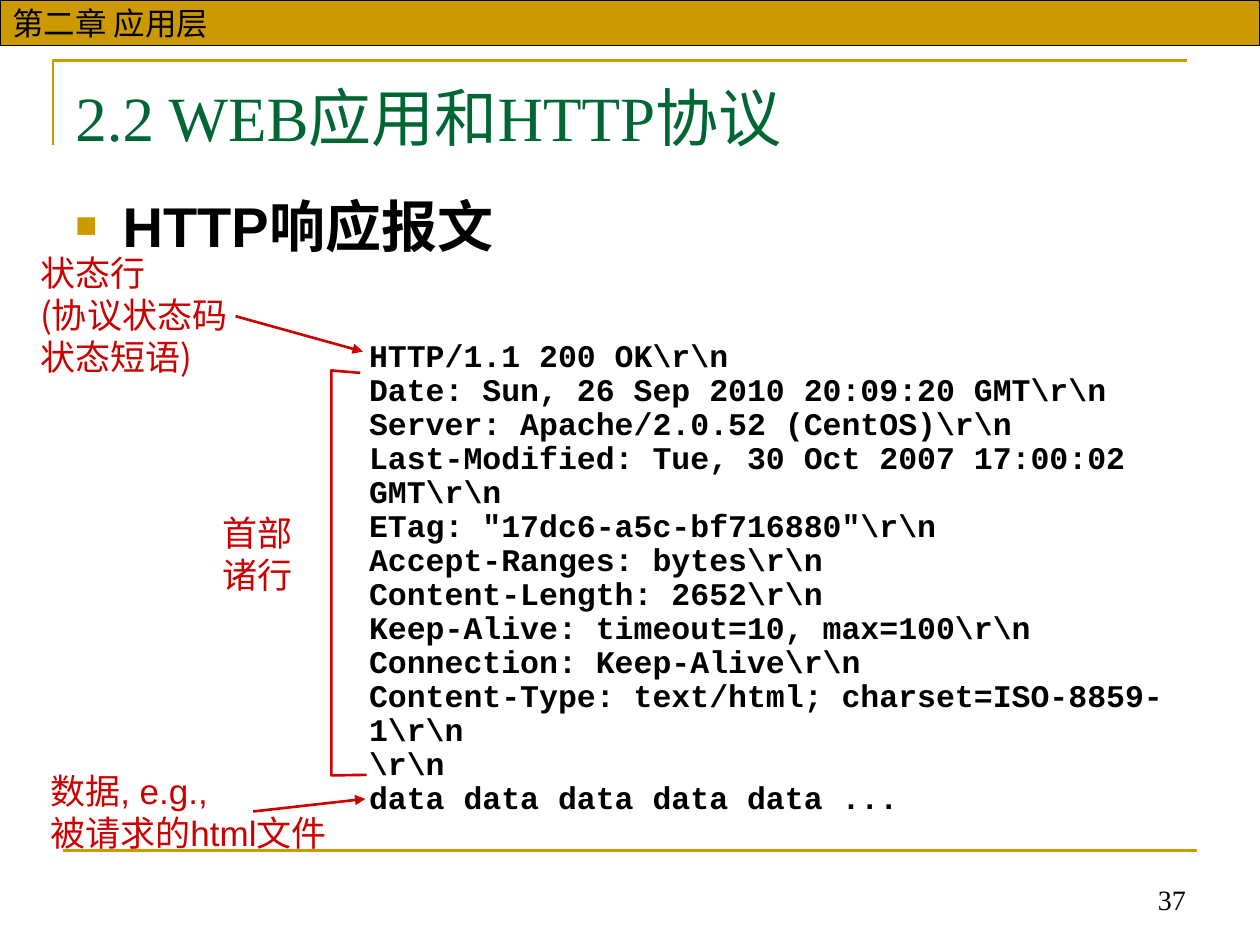
"""Build the slide on the HTTP response message, with its three parts labelled."""
import lxml.etree
import pptx
import pptx.dml.color
import pptx.enum.shapes
import pptx.enum.text
import pptx.oxml.ns
import pptx.util

Pt = pptx.util.Pt
qn = pptx.oxml.ns.qn
RGB = pptx.dml.color.RGBColor.from_string
ALIGN = pptx.enum.text.PP_ALIGN
ANCHOR = pptx.enum.text.MSO_ANCHOR

THEME = {
    "gold": RGB("CC9900"),
    "red": RGB("CC0000"),
    "black": RGB("000000"),
    "east_asian": "Noto Sans CJK SC",
    "chapter": {"size": Pt(18), "name": "Arial", "color": RGB("000000")},
    "number": {"size": Pt(16), "name": "Times New Roman", "color": RGB("000000")},
    "title": {"size": Pt(36), "name": "Times New Roman", "color": RGB("006633")},
    "heading": {"size": Pt(32), "name": "Arial", "color": RGB("000000"), "bold": True},
    "label": {"size": Pt(20), "name": "Noto Sans CJK SC", "color": RGB("CC0000")},
    "data_label": {"size": Pt(20), "name": "Arial", "color": RGB("CC0000")},
    "message": {"size": Pt(18), "name": "Courier New", "color": RGB("000000"), "bold": True},
}


def write_lines(shape, lines, style, frame_format, paragraph_format):
    """Fill a shape with one paragraph per line in a theme style."""
    frame = shape.text_frame
    for name, value in frame_format.items():
        setattr(frame, name, value)
    for index, line in enumerate(lines):
        paragraph = frame.paragraphs[0] if index == 0 else frame.add_paragraph()
        for name, value in paragraph_format.items():
            setattr(paragraph, name, value)
        run = paragraph.add_run()
        run.text = line
        for name, value in THEME[style].items():
            if name == "color":
                run.font.color.rgb = value
            else:
                setattr(run.font, name, value)
        east_asian = lxml.etree.SubElement(run._r.get_or_add_rPr(), qn("a:ea"))
        east_asian.set("typeface", THEME["east_asian"])


def add_line(start, end, color, arrow):
    """Draw a straight line, with an arrowhead at its end if asked."""
    line = slide.shapes.add_connector(
        pptx.enum.shapes.MSO_CONNECTOR.STRAIGHT, *map(Pt, start + end))
    line.line.color.rgb = THEME[color]
    line.line.width = Pt(1.5)
    if arrow:
        head = lxml.etree.SubElement(line.line._get_or_add_ln(), qn("a:tailEnd"))
        head.set("type", "triangle")
    lxml.etree.SubElement(line._element.spPr, qn("a:effectLst"))


presentation = pptx.Presentation()
presentation.slide_width, presentation.slide_height = Pt(720), Pt(540)
slide = presentation.slides.add_slide(presentation.slide_layouts[6])

title_frame = [(30.24, 82.8), (30.24, 34.56), (678.24, 34.56)]
header_bracket = [(205.92, 213.1), (189.36, 211.7), (189.36, 443.1), (209.5, 442.8)]
for points, color in ((title_frame, "gold"), (header_bracket, "red")):
    corners = [(Pt(x), Pt(y)) for x, y in points]
    builder = slide.shapes.build_freeform(*corners[0])
    builder.add_line_segments(corners[1:], close=False)
    outline = builder.convert_to_shape()
    outline.shadow.inherit = False
    outline.fill.background()
    outline.line.color.rgb = THEME[color]
    outline.line.width = Pt(1.5)

add_line((36, 486), (684, 486), "gold", False)
add_line((134.6, 180.7), (207.4, 200.9), "red", True)
add_line((144.7, 463.7), (208.8, 456.5), "red", True)

chapter_bar = slide.shapes.add_shape(
    pptx.enum.shapes.MSO_SHAPE.RECTANGLE, Pt(0), Pt(0), Pt(720), Pt(26))
chapter_bar.shadow.inherit = False
chapter_bar.fill.solid()
chapter_bar.fill.fore_color.rgb = THEME["gold"]
chapter_bar.line.color.rgb = THEME["black"]
chapter_bar.line.width = Pt(0.75)
write_lines(chapter_bar, ["第二章 应用层"], "chapter",
            {"word_wrap": True, "vertical_anchor": ANCHOR.MIDDLE}, {"alignment": ALIGN.LEFT})

message = [
    r"HTTP/1.1 200 OK\r\n",
    r"Date: Sun, 26 Sep 2010 20:09:20 GMT\r\n",
    r"Server: Apache/2.0.52 (CentOS)\r\n",
    r"Last-Modified: Tue, 30 Oct 2007 17:00:02 GMT\r\n",
    r'ETag: "17dc6-a5c-bf716880"\r\n',
    r"Accept-Ranges: bytes\r\n",
    r"Content-Length: 2652\r\n",
    r"Keep-Alive: timeout=10, max=100\r\n",
    r"Connection: Keep-Alive\r\n",
    r"Content-Type: text/html; charset=ISO-8859-1\r\n",
    r"\r\n",
    "data data data data data ...",
]
wrapped, unwrapped = {"word_wrap": True}, {"word_wrap": False}
left, right = {"alignment": ALIGN.LEFT}, {"alignment": ALIGN.RIGHT}
text_boxes = [
    ((456.5, 491, 228.2, 36), ["37"], "number",
     {"word_wrap": True, "vertical_anchor": ANCHOR.BOTTOM}, right),
    ((36, 38.9, 648, 55.4), ["2.2 WEB应用和HTTP协议"], "title",
     {"word_wrap": True, "vertical_anchor": ANCHOR.MIDDLE}, left),
    ((15.84, 140.4, 131, 79.2), ["状态行", "(协议状态码", "状态短语)"], "label", unwrapped, left),
    ((110.2, 288.7, 64, 55.4), ["首部", "诸行"], "label", unwrapped, right),
    ((21.6, 436.3, 182.2, 55.4), ["数据, e.g.,", "被请求的html文件"], "data_label",
     unwrapped, left),
    ((203.8, 190.8, 496.8, 279.4), message, "message", wrapped,
     {"alignment": ALIGN.LEFT, "line_spacing": 0.9}),
]
for box, lines, style, frame_format, paragraph_format in text_boxes:
    write_lines(slide.shapes.add_textbox(*map(Pt, box)), lines, style,
                frame_format, paragraph_format)

heading = slide.shapes.add_textbox(Pt(36), Pt(105.8), Pt(648), Pt(54))
properties = heading.text_frame.paragraphs[0]._p.get_or_add_pPr()
properties.set("marL", str(Pt(27)))
properties.set("indent", str(-Pt(27)))
bullet_color = lxml.etree.SubElement(properties, qn("a:buClr"))
lxml.etree.SubElement(bullet_color, qn("a:srgbClr")).set("val", str(THEME["gold"]))
for tag, name, value in (("a:buSzPct", "val", "65000"), ("a:buFont", "typeface", "Arial"),
                         ("a:buChar", "char", "■")):
    lxml.etree.SubElement(properties, qn(tag)).set(name, value)
write_lines(heading, ["HTTP响应报文"], "heading", wrapped, left)

presentation.save("out.pptx")
